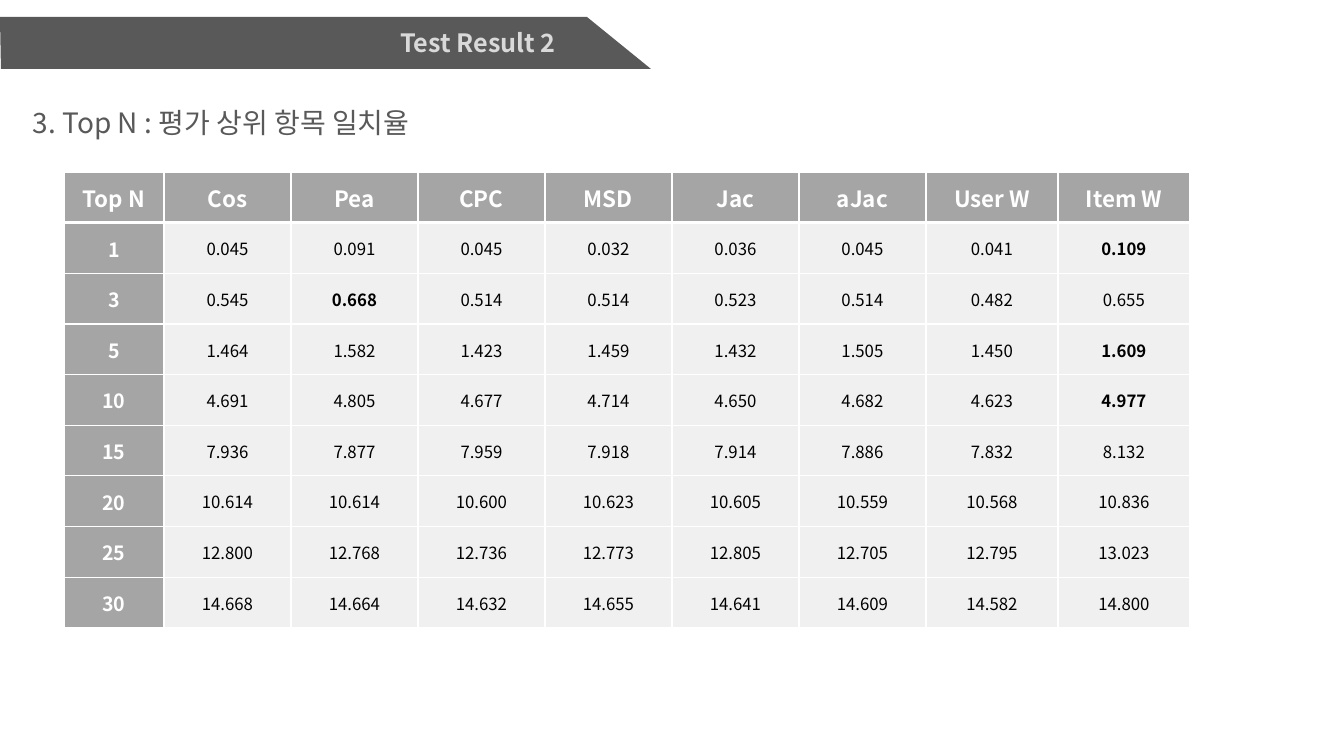
"""Build the Top N test result slide."""
from lxml import etree
from pptx import Presentation, util as u
from pptx.dml import color
from pptx.enum import text
from pptx.oxml import ns

PX = 914400 / 100.8
FONT = "Noto Sans CJK KR"
COLORS = {"dark": "595959", "title": "D9D9D9", "head": "A5A5A5",
          "body": "F0F0F0", "white": "FFFFFF", "black": "000000"}
HEADINGS = ["Top N", "Cos", "Pea", "CPC", "MSD", "Jac", "aJac", "User W", "Item W"]
RESULTS = {
    "1": "0.045 0.091 0.045 0.032 0.036 0.045 0.041 0.109",
    "3": "0.545 0.668 0.514 0.514 0.523 0.514 0.482 0.655",
    "5": "1.464 1.582 1.423 1.459 1.432 1.505 1.450 1.609",
    "10": "4.691 4.805 4.677 4.714 4.650 4.682 4.623 4.977",
    "15": "7.936 7.877 7.959 7.918 7.914 7.886 7.832 8.132",
    "20": "10.614 10.614 10.600 10.623 10.605 10.559 10.568 10.836",
    "25": "12.800 12.768 12.736 12.773 12.805 12.705 12.795 13.023",
    "30": "14.668 14.664 14.632 14.655 14.641 14.609 14.582 14.800",
}
BEST = {("1", "Item W"), ("3", "Pea"), ("5", "Item W"), ("10", "Item W")}
COLUMN_WIDTHS = [100] + [127] * 6 + [132] * 2


def emu(pixels):
    """Turn pixels into EMU."""
    return u.Emu(round(pixels * PX))


def rgb(name):
    """Look up a named colour."""
    return color.RGBColor.from_string(COLORS[name])


def write(frame, words, size, ink, bold=False, align=text.PP_ALIGN.LEFT, spacing=1.0):
    """Write one formatted paragraph into a text frame."""
    frame.word_wrap = True
    para = frame.paragraphs[0]
    para.alignment = align
    para.line_spacing = spacing
    span = para.add_run()
    span.text = words
    span.font.name = FONT
    span.font.size = u.Pt(size)
    span.font.bold = bold
    span.font.color.rgb = rgb(ink)
    east_asian = etree.SubElement(span.font._element, ns.qn("a:ea"))
    east_asian.set("typeface", FONT)


def add_banner(page, left, top, width, height):
    """Place the slanted banner with the slide title on it."""
    builder = page.shapes.build_freeform(0, 0, scale=PX)
    builder.add_line_segments([(width - 64, 0), (width, height), (1, height)])
    banner = builder.convert_to_shape(emu(left), emu(top))
    banner.shadow.inherit = False
    banner.fill.solid()
    banner.fill.fore_color.rgb = rgb("dark")
    banner.line.fill.background()

    title = page.shapes.title
    title.element.addprevious(banner.element)
    title.left, title.top = emu(left + 23), emu(top + 5)
    title.width, title.height = emu(width - 108), emu(height - 12)
    frame = title.text_frame
    frame.auto_size = text.MSO_AUTO_SIZE.NONE
    frame.vertical_anchor = text.MSO_ANCHOR.TOP
    write(frame, "Test Result 2", 18, "title", bold=True, align=text.PP_ALIGN.RIGHT)


def add_subtitle(page, left, top, width, height):
    """Place the section line."""
    box = page.shapes.add_textbox(emu(left), emu(top), emu(width), emu(height))
    write(box.text_frame, "3. Top N : 평가 상위 항목 일치율", 20, "dark", spacing=1.5)


def set_borders(cell, **widths):
    """Give a cell white borders of the given widths in points."""
    properties = cell._tc.get_or_add_tcPr()
    for index, side in enumerate("LRTB"):
        line = etree.Element(ns.qn(f"a:ln{side}"), w=str(u.Pt(widths.get(side, 1))))
        fill = etree.SubElement(line, ns.qn("a:solidFill"))
        etree.SubElement(fill, ns.qn("a:srgbClr"), val=COLORS["white"])
        properties.insert(index, line)


def fill_cell(cell, words, size, ink, ground, bold, **borders):
    """Format one table cell and write its text."""
    cell.margin_left = cell.margin_right = cell.margin_top = emu(1)
    cell.margin_bottom = 0
    cell.vertical_anchor = text.MSO_ANCHOR.MIDDLE
    cell.fill.solid()
    cell.fill.fore_color.rgb = rgb(ground)
    set_borders(cell, **borders)
    write(cell.text_frame, words, size, ink, bold=bold, align=text.PP_ALIGN.CENTER)


def add_results(page, left, top, width, height):
    """Place the table of results."""
    table = page.shapes.add_table(len(RESULTS) + 1, len(HEADINGS), emu(left), emu(top),
                                  emu(width), emu(height)).table
    table.first_col = True
    table.horz_banding = False
    for column, share in zip(table.columns, COLUMN_WIDTHS):
        column.width = emu(width * share / sum(COLUMN_WIDTHS))
    for row in table.rows:
        row.height = emu(height / len(table.rows))
    for index, heading in enumerate(HEADINGS):
        fill_cell(table.cell(0, index), heading, 16, "white", "head", True, B=3)
    for row, (count, values) in enumerate(RESULTS.items(), 1):
        borders = {"T": 3} if row == 1 else {}
        fill_cell(table.cell(row, 0), count, 14, "white", "head", True, **borders)
        for index, value in enumerate(values.split(), 1):
            fill_cell(table.cell(row, index), value, 12, "black", "body",
                      (count, HEADINGS[index]) in BEST, **borders)


def build():
    """Build and save the deck."""
    deck = Presentation()
    deck.slide_width, deck.slide_height = emu(1344), emu(756)
    page = deck.slides.add_slide(deck.slide_layouts.get_by_name("Title Only"))
    add_banner(page, 0, 17, 651, 52)
    add_subtitle(page, 23, 84, 496, 54)
    add_results(page, 64, 172, 1126, 456)
    deck.save("out.pptx")


build()
